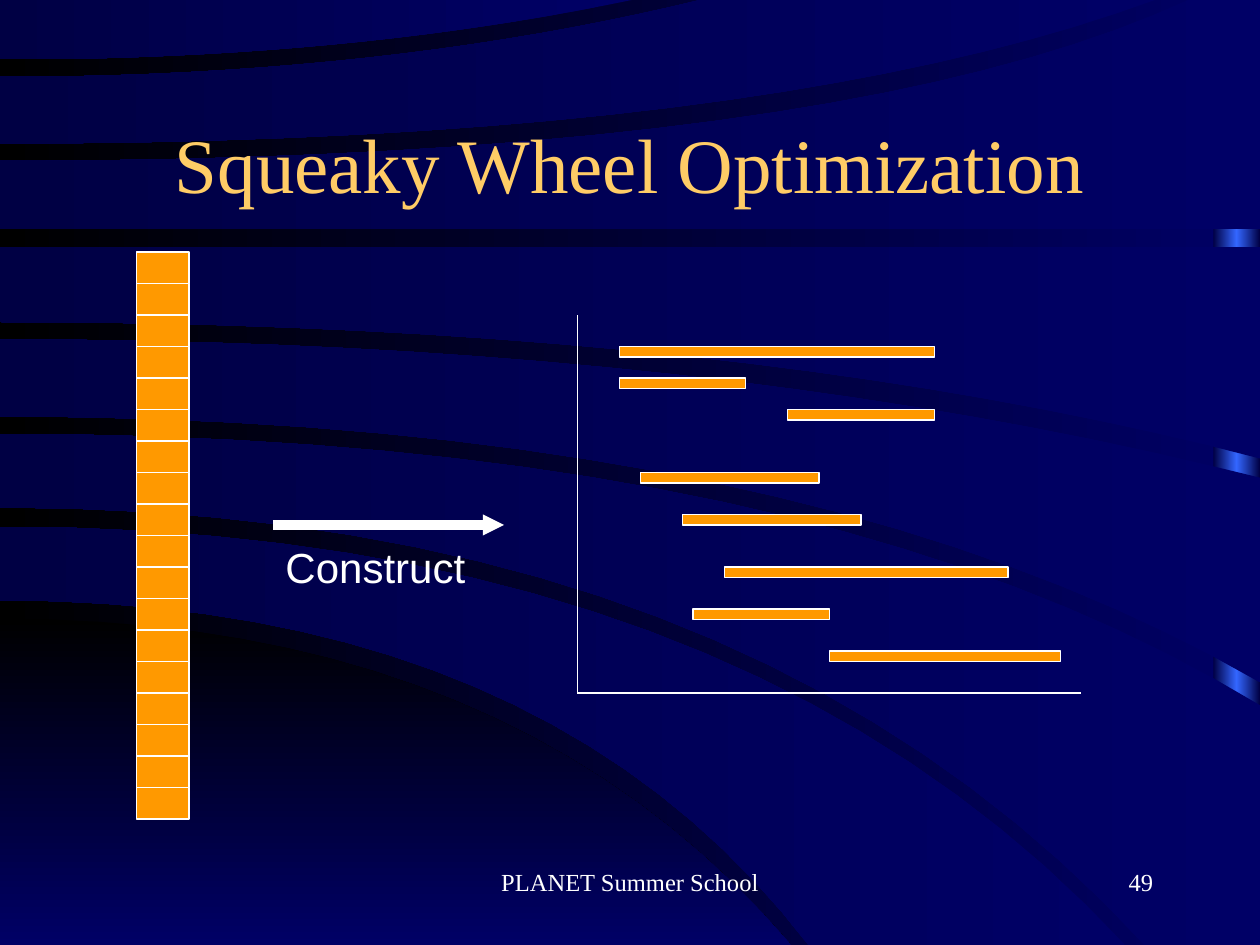
from copy import deepcopy
from pptx import Presentation
from pptx.dml.color import RGBColor
from pptx.enum.shapes import MSO_CONNECTOR as CONNECTOR, MSO_SHAPE as SHAPE
from pptx.enum.text import MSO_ANCHOR as ANCHOR, PP_ALIGN as ALIGN
from pptx.oxml.ns import qn
from pptx.util import Pt
from lxml.etree import SubElement

BLACK = RGBColor(0x00, 0x00, 0x00)
NAVY = RGBColor(0x00, 0x00, 0x66)
MIDNIGHT = RGBColor(0x00, 0x00, 0x44)
GLOW = RGBColor(0x33, 0x66, 0xFF)
GOLD = RGBColor(0xFF, 0xCC, 0x66)
ORANGE = RGBColor(0xFF, 0x99, 0x00)
WHITE = RGBColor(0xFF, 0xFF, 0xFF)
SERIF = "Times New Roman"
SANS = "Arial"

WIDTH, HEIGHT = 720, 540
CURVE_STEPS = 20

HILL_EDGE = (353.5, 293, 452, HEIGHT)
BANDS = [
    ((301, 421, 643, HEIGHT), (343, 311, 462, HEIGHT), []),
    ((248, 465, WIDTH, 403), (290, 425, 654, HEIGHT), [(WIDTH, HEIGHT)]),
    ((194, 406, WIDTH, 273), (238, 458, WIDTH, 390), []),
    ((141, 360, WIDTH, 141), (184, 424, WIDTH, 262), []),
    ((92, 480, 679, 0), (131, 360, WIDTH, 131), [(WIDTH, 0)]),
    ((44, 220, 400, 0), (82, 436, 660, 0), []),
    ((0, 180, 361, 0), (34, 198, 361, 0), []),
]

SCHEDULE = [(24, 18, 180), (24, 36, 72), (120, 54, 84), (36, 90, 102),
            (60, 114, 102), (84, 144, 162), (66, 168, 78), (144, 192, 132)]


def trace_edge(start_y, bend_x, end_x, end_y):
    steps = [index / CURVE_STEPS for index in range(CURVE_STEPS + 1)]
    return [(2 * t * (1 - t) * bend_x + t * t * end_x, start_y + t * t * (end_y - start_y))
            for t in steps]


def set_gradient(fill, first, last, angle=180):
    fill.gradient()
    fill.gradient_angle = angle
    for stop, color in zip(fill.gradient_stops, (first, last)):
        stop.color.rgb = color


def add_outline(slide, points, first, last, angle=180):
    start, *rest = [(Pt(x), Pt(y)) for x, y in points]
    builder = slide.shapes.build_freeform(*start)
    builder.add_line_segments(rest)
    outline = builder.convert_to_shape()
    outline.shadow.inherit = False
    outline.line.fill.background()
    set_gradient(outline.fill, first, last, angle)


def add_rectangle(slide, left, top, width, height):
    rectangle = slide.shapes.add_shape(SHAPE.RECTANGLE, Pt(left), Pt(top), Pt(width), Pt(height))
    rectangle.shadow.inherit = False
    return rectangle


def add_block(slide, left, top, width, height):
    block = add_rectangle(slide, left, top, width, height)
    block.fill.solid()
    block.fill.fore_color.rgb = ORANGE
    block.line.color.rgb = WHITE
    block.line.width = Pt(1)


def add_line(slide, x1, y1, x2, y2, weight=1):
    line = slide.shapes.add_connector(CONNECTOR.STRAIGHT, Pt(x1), Pt(y1), Pt(x2), Pt(y2))
    line.line.color.rgb = WHITE
    line.line.width = Pt(weight)
    SubElement(line.element.spPr, qn("a:effectLst"))
    return line


def add_label(slide, left, top, width, height, wording, size, font=SERIF, color=WHITE,
              align=ALIGN.CENTER, anchor=ANCHOR.TOP, wrap=True):
    label = slide.shapes.add_textbox(Pt(left), Pt(top), Pt(width), Pt(height))
    frame = label.text_frame
    frame.word_wrap = wrap
    frame.vertical_anchor = anchor
    frame.text = wording
    paragraph = frame.paragraphs[0]
    paragraph.alignment = align
    run_font = paragraph.runs[0].font
    run_font.size = Pt(size)
    run_font.name = font
    run_font.color.rgb = color


def add_backdrop(slide, width, height, strip_width=26.6):
    set_gradient(slide.background.fill, NAVY, BLACK)
    strip = add_rectangle(slide, width - strip_width, 0, strip_width, height)
    strip.line.fill.background()
    set_gradient(strip.fill, MIDNIGHT, GLOW)
    stops = strip.element.spPr.find(".//" + qn("a:gsLst"))
    stops[1].set("pos", "50000")
    outer_stop = deepcopy(stops[0])
    outer_stop.set("pos", "100000")
    stops.append(outer_stop)
    add_outline(slide, trace_edge(*HILL_EDGE) + [(0, height)], BLACK, NAVY, 270)
    for upper, lower, corner in BANDS:
        points = trace_edge(*upper) + corner + trace_edge(*lower)[::-1]
        add_outline(slide, points, NAVY, MIDNIGHT)


def add_priority_queue(slide, left, top, width, height, count=18):
    step = height / count
    for index in range(count):
        add_block(slide, left, top + index * step, width, step)


def add_construct_step(slide, left, top, width):
    arrow = add_line(slide, left, top, left + width, top, 6)
    outline = arrow.element.spPr.find(qn("a:ln"))
    SubElement(outline, qn("a:tailEnd"), type="triangle", w="sm", len="sm")
    add_label(slide, left, top + 6, 117, 36, "Construct", 24, font=SANS, wrap=False)


def add_schedule(slide, left, top, width, height):
    bottom = top + height
    add_line(slide, left, top, left, bottom)
    add_line(slide, left, bottom, left + width, bottom)
    for offset, row, length in SCHEDULE:
        add_block(slide, left + offset, top + row, length, 6)


def add_footer(slide, top, height):
    add_label(slide, 246, top, 228, height, "PLANET Summer School", 14)
    add_label(slide, 516, top, 150, height, "49", 14, align=ALIGN.RIGHT)


def main():
    deck = Presentation()
    deck.slide_width, deck.slide_height = Pt(WIDTH), Pt(HEIGHT)
    slide = deck.slides.add_slide(deck.slide_layouts[6])
    add_backdrop(slide, WIDTH, HEIGHT)
    add_label(slide, 54, 48, 612, 90, "Squeaky Wheel Optimization", 44,
              color=GOLD, anchor=ANCHOR.MIDDLE)
    add_priority_queue(slide, 78, 144, 30, 324)
    add_construct_step(slide, 156, 300, 132)
    add_schedule(slide, 330, 180, 288, 216)
    add_footer(slide, 492, 36)
    deck.save("out.pptx")


if __name__ == "__main__":
    main()
